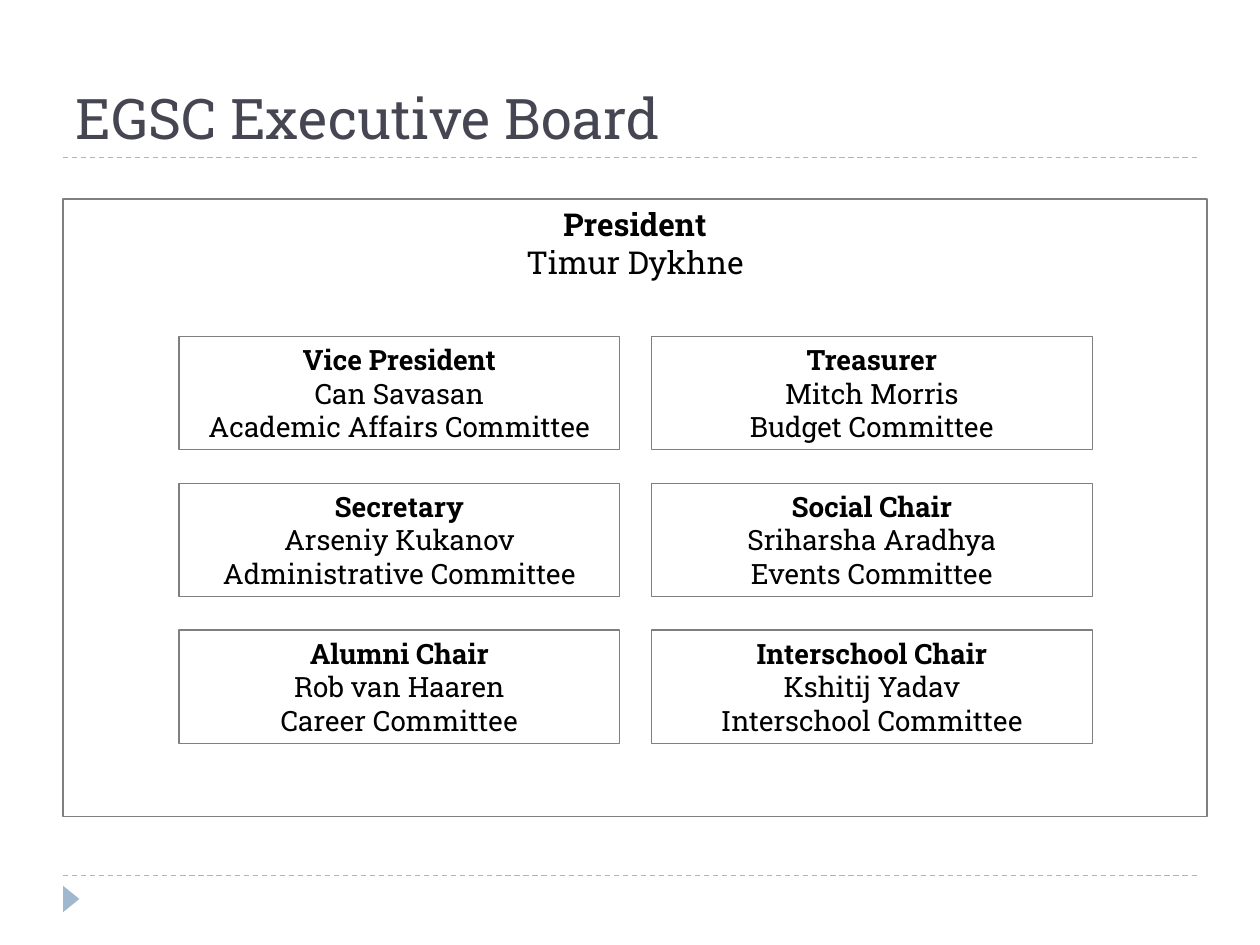
from lxml.etree import SubElement
from pptx import Presentation
from pptx.dml.color import RGBColor
from pptx.enum.dml import MSO_LINE
from pptx.enum.shapes import MSO_CONNECTOR, MSO_SHAPE
from pptx.enum.text import MSO_ANCHOR, MSO_AUTO_SIZE, PP_ALIGN
from pptx.oxml.ns import qn
from pptx.util import Inches, Pt

FONT = "Roboto Slab"
COLORS = {"title": "464653", "text": "000000", "border": "7F7F7F", "accent": "9FB8CD"}

OFFICERS = [
    ("Vice President", "Can Savasan", "Academic Affairs Committee"),
    ("Treasurer", "Mitch Morris", "Budget Committee"),
    ("Secretary", "Arseniy Kukanov", "Administrative Committee"),
    ("Social Chair", "Sriharsha Aradhya", "Events Committee"),
    ("Alumni Chair", "Rob van Haaren", "Career Committee"),
    ("Interschool Chair", "Kshitij Yadav", "Interschool Committee"),
]
GRID_LEFT, GRID_TOP = 1.42, 2.67
COLUMN_STEP, ROW_STEP = 3.75, 1.165


def color(name):
    return RGBColor.from_string(COLORS[name])


def style_font(font, size, color_name, bold=False):
    font.name = FONT
    font.size = Pt(size)
    font.bold = bold
    font.color.rgb = color(color_name)


def add_rule(slide, y):
    """Draw a dashed line across the slide at height y."""
    rule = slide.shapes.add_connector(
        MSO_CONNECTOR.STRAIGHT, Inches(0.5), Inches(y), Inches(9.5), Inches(y))
    rule.line.color.rgb = color("accent")
    rule.line.width = Pt(0.75)
    rule.line.dash_style = MSO_LINE.DASH
    SubElement(rule._element.spPr, qn("a:effectLst"))


def add_footer_marker(slide):
    marker = slide.shapes.add_shape(
        MSO_SHAPE.ISOSCELES_TRIANGLE, Inches(0.46), Inches(7.07), Inches(0.21), Inches(0.13))
    marker.rotation = 90
    marker.shadow.inherit = False
    marker.fill.solid()
    marker.fill.fore_color.rgb = color("accent")
    marker.line.fill.background()


def set_title(slide, text):
    title = slide.shapes.title
    title.left, title.top = Inches(0.5), Inches(0.17)
    title.width, title.height = Inches(9), Inches(1.08)
    frame = title.text_frame
    frame.text = text
    frame.auto_size = MSO_AUTO_SIZE.NONE
    frame.vertical_anchor = MSO_ANCHOR.BOTTOM
    heading = frame.paragraphs[0]
    heading.alignment = PP_ALIGN.LEFT
    style_font(heading.runs[0].font, 32, "title")


def add_role_box(slide, left, top, width, height, lines, size):
    """Add an outlined box whose first line, the role, is bold."""
    box = slide.shapes.add_shape(
        MSO_SHAPE.RECTANGLE, Inches(left), Inches(top), Inches(width), Inches(height))
    box.shadow.inherit = False
    box.fill.background()
    box.line.color.rgb = color("border")
    box.line.width = Pt(0.75)
    frame = box.text_frame
    frame.word_wrap = True
    frame.vertical_anchor = MSO_ANCHOR.TOP
    frame.text = "\n".join(lines)
    for index, paragraph in enumerate(frame.paragraphs):
        paragraph.alignment = PP_ALIGN.CENTER
        style_font(paragraph.runs[0].font, size, "text", bold=index == 0)


def main():
    prs = Presentation()
    prs.slide_width, prs.slide_height = Inches(10), Inches(7.5)
    slide = prs.slides.add_slide(prs.slide_layouts[5])

    for y in (6.95, 1.25):
        add_rule(slide, y)
    add_footer_marker(slide)
    set_title(slide, "EGSC Executive Board")

    for index, officer in enumerate(OFFICERS):
        row, column = divmod(index, 2)
        add_role_box(slide, GRID_LEFT + column * COLUMN_STEP, GRID_TOP + row * ROW_STEP,
                     3.5, 0.9, officer, 16)
    add_role_box(slide, 0.5, 1.58, 9.08, 4.9, ("President", "Timur Dykhne"), 18)

    prs.save("out.pptx")


if __name__ == "__main__":
    main()
